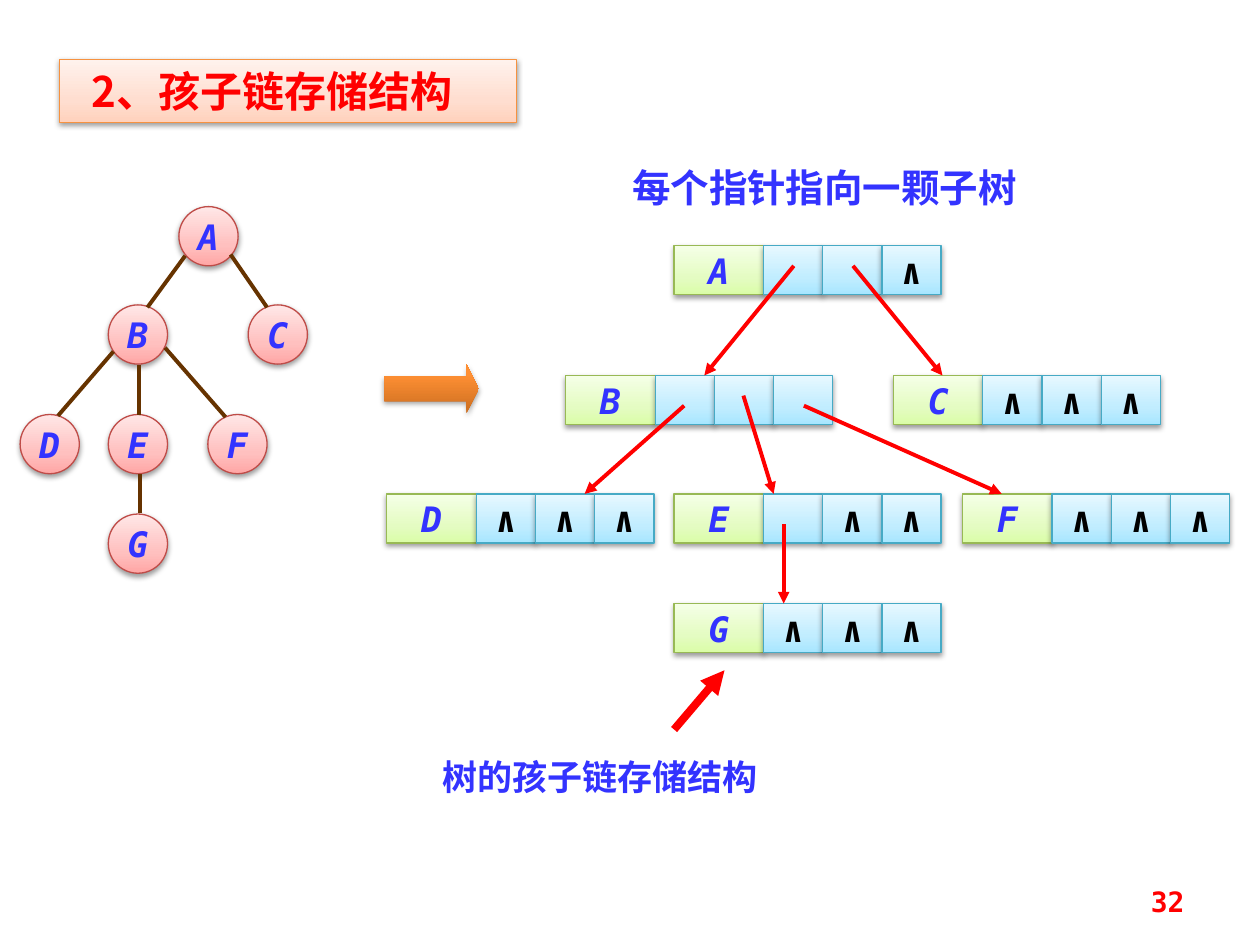
import pptx
import pptx.util
import pptx.dml.color
import pptx.enum.shapes
import pptx.enum.text
import pptx.oxml.ns
from lxml import etree

Inches, Pt = pptx.util.Inches, pptx.util.Pt
Shape = pptx.enum.shapes.MSO_SHAPE
Align = pptx.enum.text.PP_ALIGN
qn = pptx.oxml.ns.qn

HEX = {
    "red": "FF0000", "blue": "3333FF", "black": "000000", "brown": "663300",
    "peach": "F69240", "rose": "BF4C48", "lime": "98B955", "sky": "46AAC5",
}
# Gradient stops from bottom to top: position in percent, colour
FADES = {
    "peach": [(0, "FFD2BD"), (35, "FFDED0"), (100, "FFF2ED")],
    "rose": [(0, "FFA6A5"), (35, "FFC0BF"), (100, "FFE7E7")],
    "lime": [(0, "DAFDA7"), (35, "E4FCC2"), (100, "F5FFE7")],
    "sky": [(0, "A7E6FF"), (35, "C1EDFF"), (100, "E7F8FF")],
    "orange": [(0, "CC6E20"), (80, "FF9034"), (100, "FF9136")],
}
MONO, HAN = "DejaVu Sans Mono", "Noto Sans CJK SC"
NODE, HEAD, CELL, ROW = 0.47, 0.71, 0.47, 0.39


class Board:
    def __init__(self, deck):
        self.slide = deck.slides.add_slide(deck.slide_layouts[5])
        self.shapes = self.slide.shapes

    def tone(self, name):
        return pptx.dml.color.RGBColor.from_string(HEX[name])

    def add(self, parent, tag, **attrs):
        return etree.SubElement(parent, qn(tag), attrs)

    def paint(self, shape, fade, alpha=38, drop=1.6):
        """Gradient fill, thin outline and soft shadow below."""
        shape.fill.gradient()
        shape.fill.gradient_angle = 90
        props = shape._element.spPr
        stops = props.find(qn("a:gradFill")).find(qn("a:gsLst"))
        for old in list(stops):
            stops.remove(old)
        for pos, color in FADES[fade]:
            stop = self.add(stops, "a:gs", pos=str(pos * 1000))
            self.add(stop, "a:srgbClr", val=color)
        if fade in HEX:
            shape.line.color.rgb = self.tone(fade)
            shape.line.width = Pt(0.75)
        else:
            shape.line.fill.background()
        shape.shadow.inherit = False
        effects = props.find(qn("a:effectLst"))
        cast = self.add(effects, "a:outerShdw", blurRad=str(int(Pt(3.1))),
                        dist=str(int(Pt(drop))), dir="5400000", rotWithShape="0")
        shade = self.add(cast, "a:srgbClr", val=HEX["black"])
        self.add(shade, "a:alpha", val=str(alpha * 1000))

    def letter(self, shape, text, size, color, align=Align.CENTER,
               face=MONO, slant=False, wrap=True):
        frame = shape.text_frame
        frame.text = text
        frame.word_wrap = wrap
        frame.auto_size = pptx.enum.text.MSO_AUTO_SIZE.NONE
        frame.vertical_anchor = pptx.enum.text.MSO_ANCHOR.MIDDLE
        line = frame.paragraphs[0]
        line.alignment = align
        font = line.font
        font.name, font.size = face, Pt(size)
        font.bold, font.italic = True, slant
        font.color.rgb = self.tone(color)
        for run in line.runs:
            self.add(run._r.get_or_add_rPr(), "a:ea", typeface=HAN)

    def title(self, text, box):
        shape = self.shapes.title
        shape.left, shape.top, shape.width, shape.height = map(Inches, box)
        self.paint(shape, "peach")
        self.letter(shape, text, 24, "red", Align.LEFT, HAN)
        shape.text_frame.margin_left = Inches(0.26)

    def block(self, kind, box, fade, text="", color="blue", **shade):
        shape = self.shapes.add_shape(kind, *map(Inches, box))
        self.paint(shape, fade, **shade)
        if text:
            self.letter(shape, text, 20, color, slant=color == "blue", wrap=False)
        return shape

    def record(self, name, left, top, links):
        """A name cell and three pointer cells; '.' is a pointer in use."""
        self.block(Shape.RECTANGLE, (left, top, HEAD, ROW), "lime", name)
        for i, link in enumerate(links):
            box = (left + HEAD + i * CELL, top, CELL, ROW)
            self.block(Shape.RECTANGLE, box, "sky", link.strip("."), "black")

    def line(self, ends, color, width=2.25, arrow=False):
        link = self.shapes.add_connector(
            pptx.enum.shapes.MSO_CONNECTOR.STRAIGHT, *map(Inches, ends))
        link.line.color.rgb = self.tone(color)
        link.line.width = Pt(width)
        props = link._element.spPr
        if arrow:
            self.add(props.find(qn("a:ln")), "a:tailEnd", type="triangle")
        self.add(props, "a:effectLst")

    def label(self, text, box, size, color, align):
        shape = self.shapes.add_textbox(*map(Inches, box))
        self.letter(shape, text, size, color, align)


def main():
    deck = pptx.Presentation()
    deck.slide_width, deck.slide_height = Inches(10), Inches(7.5)
    board = Board(deck)
    board.title("2、孩子链存储结构", (0.47, 0.47, 3.63, 0.5))

    # Tree nodes and edges
    nodes = {"A": (1.42, 1.64), "B": (0.86, 2.42), "C": (1.97, 2.42),
             "D": (0.16, 3.29), "E": (0.86, 3.29), "F": (1.65, 3.29),
             "G": (0.86, 4.08)}
    for name, spot in nodes.items():
        board.block(Shape.OVAL, (*spot, NODE, NODE), "rose", name)
    edges = [(1.47, 2.03, 1.17, 2.44), (1.83, 2.02, 2.12, 2.44),
             (0.9, 2.79, 0.46, 3.3), (1.1, 2.9, 1.1, 3.29),
             (1.31, 2.76, 1.79, 3.31), (1.11, 3.76, 1.11, 4.07)]
    for ends in edges:
        board.line(ends, "brown")

    # Arrow from tree to storage
    arrow = board.block(Shape.RIGHT_ARROW, (3.05, 2.89, 0.75, 0.39), "orange",
                        alpha=35, drop=1.8)
    arrow.adjustments[1] = 0.25

    # Linked records
    records = [("A", 5.35, 1.95, "..∧"), ("B", 4.49, 2.98, "..."),
               ("C", 7.09, 2.98, "∧∧∧"), ("D", 3.07, 3.92, "∧∧∧"),
               ("E", 5.35, 3.92, ".∧∧"), ("F", 7.64, 3.92, "∧∧∧"),
               ("G", 5.35, 4.79, "∧∧∧")]
    for record in records:
        board.record(*record)
    links = [(6.3, 2.11, 5.59, 2.98), (6.77, 2.11, 7.48, 2.98),
             (5.43, 3.22, 4.64, 3.92), (5.9, 3.14, 6.14, 3.92),
             (6.38, 3.22, 7.95, 3.92), (6.22, 4.16, 6.22, 4.79)]
    for ends in links:
        board.line(ends, "red", arrow=True)

    # Captions and slide number
    board.line((5.35, 5.79, 5.75, 5.32), "red", 4.5, arrow=True)
    board.label("树的孩子链存储结构", (3.15, 5.94, 3.23, 0.44), 20, "blue", Align.CENTER)
    board.label("每个指针指向一颗子树", (4.92, 1.25, 3.67, 0.47), 22, "blue", Align.LEFT)
    board.label("32", (7.17, 6.95, 2.33, 0.4), 16, "red", Align.RIGHT)

    deck.save("out.pptx")


if __name__ == "__main__":
    main()
